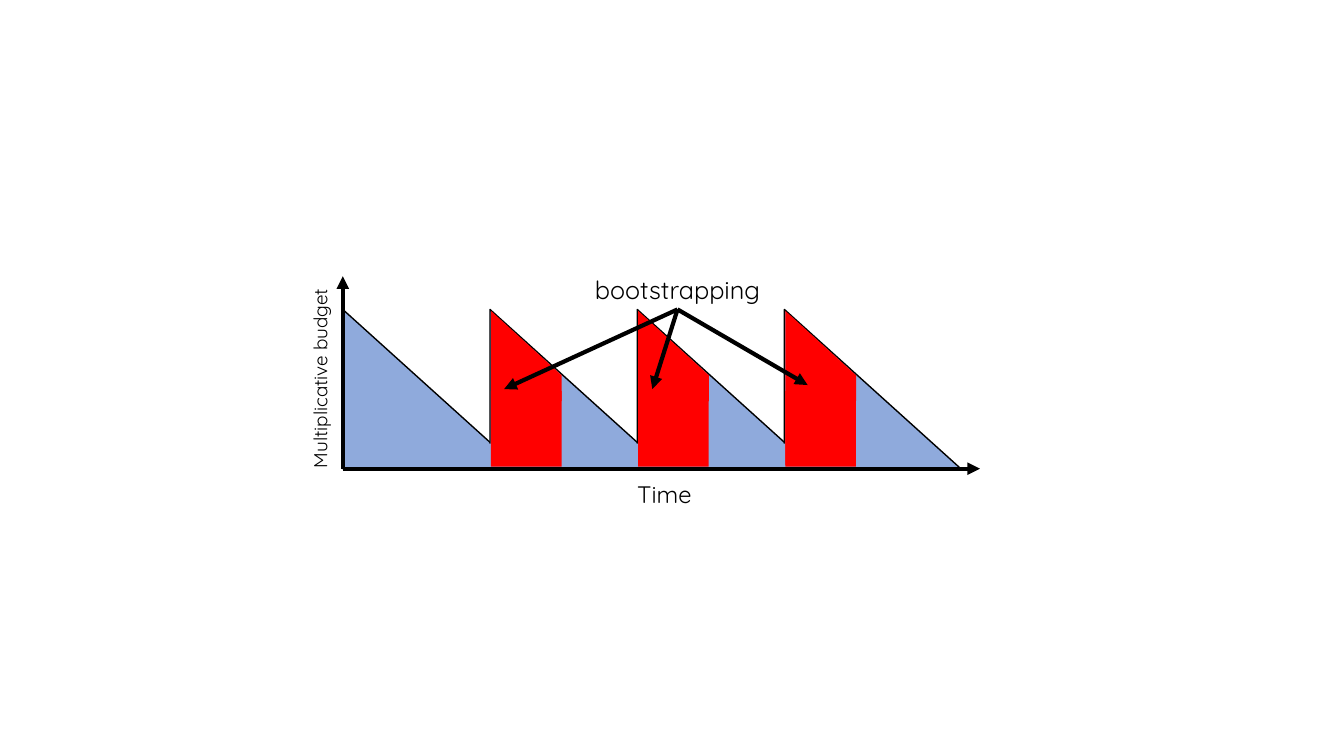
"""Draw the sawtooth chart of multiplicative budget over time, with its bootstrapping phases."""
from dataclasses import dataclass

from lxml.etree import SubElement
from pptx import Presentation
from pptx.dml.color import RGBColor
from pptx.enum.shapes import MSO_CONNECTOR, MSO_SHAPE as Preset
from pptx.enum.text import MSO_AUTO_SIZE as Fit, PP_ALIGN as Align
from pptx.oxml.ns import qn
from pptx.util import Inches, Pt

TIME_LABEL = "Time"
BUDGET_LABEL = "Multiplicative budget"
PHASE_LABEL = "bootstrapping"
TEETH = 4
PHASE_TARGETS = [(6.47, 3.86), (5, 3.86), (8.01, 3.82)]


@dataclass(frozen=True)
class Theme:
    font: str = "Quicksand"
    ink: str = "000000"
    budget: str = "8FAADC"
    phase: str = "FF0000"
    outline: float = 1
    stroke: float = 3
    time_size: float = 17
    budget_size: float = 13.5
    phase_size: float = 18


THEME = Theme()
SLIDE_W, SLIDE_H = 13.33, 7.5
ORIGIN_X, ORIGIN_Y = 3.4, 4.65
PITCH = 1.46
TOOTH_W, TOOTH_H = 1.75, 1.58
TOP = ORIGIN_Y - TOOTH_H
AXIS_END_X, AXIS_END_Y = 9.72, 2.74
BASE_X, BASE_W, BASE_H = 4.12, 5.03, 0.25
PHASE_W, PHASE_H, PHASE_SLOPE = 0.7, 1.53, 0.912
PHASE_BLOCK_H = 0.75
PHASE_MIDDLE = 3.85
PHASE_FLOOR = 4.63


def add_block(shapes, preset, x, y, w, h, fill, outline=None):
    block = shapes.add_shape(preset, *map(Inches, (x, y, w, h)))
    block.shadow.inherit = False
    block.fill.solid()
    block.fill.fore_color.rgb = RGBColor.from_string(fill)
    if outline:
        block.line.color.rgb = RGBColor.from_string(THEME.ink)
        block.line.width = Pt(outline)
    else:
        block.line.fill.background()
    return block


def add_text(shapes, text, *, x, y, w, h, size, rotation=0):
    label = shapes.add_textbox(*map(Inches, (x, y, w, h)))
    label.rotation = rotation
    frame = label.text_frame
    frame.word_wrap = True
    frame.auto_size = Fit.SHAPE_TO_FIT_TEXT
    paragraph = frame.paragraphs[0]
    paragraph.alignment = Align.CENTER
    run = paragraph.add_run()
    run.text = text
    run.font.name = THEME.font
    run.font.size = Pt(size)
    run.font.color.rgb = RGBColor.from_string(THEME.ink)
    return label


def add_arrow(shapes, start, end):
    arrow = shapes.add_connector(MSO_CONNECTOR.STRAIGHT, *map(Inches, (*start, *end)))
    arrow.line.color.rgb = RGBColor.from_string(THEME.ink)
    arrow.line.width = Pt(THEME.stroke)
    SubElement(arrow.line._get_or_add_ln(), qn("a:tailEnd"), type="triangle")
    SubElement(arrow._element.spPr, qn("a:effectLst"))
    return arrow


def add_phase(shapes, x):
    phase = shapes.add_group_shape().shapes
    slope = add_block(phase, Preset.TRAPEZOID, x + (PHASE_W - PHASE_H) / 2,
                      PHASE_MIDDLE - PHASE_W / 2, PHASE_H, PHASE_W, THEME.phase)
    slope.rotation = 90
    slope.adjustments[0] = PHASE_SLOPE
    add_block(phase, Preset.RECTANGLE, x, PHASE_FLOOR - PHASE_BLOCK_H,
              PHASE_W, PHASE_BLOCK_H, THEME.phase)


def main():
    deck = Presentation()
    deck.slide_width, deck.slide_height = Inches(SLIDE_W), Inches(SLIDE_H)
    shapes = deck.slides.add_slide(deck.slide_layouts[6]).shapes

    tooth_lefts = [ORIGIN_X + PITCH * i for i in range(TEETH)]
    for left in tooth_lefts:
        add_block(shapes, Preset.RIGHT_TRIANGLE, left, TOP, TOOTH_W, TOOTH_H,
                  THEME.budget, THEME.outline)
    add_block(shapes, Preset.RECTANGLE, BASE_X, ORIGIN_Y - BASE_H, BASE_W, BASE_H, THEME.budget)

    add_text(shapes, TIME_LABEL, x=5.13, y=4.71, w=2.92, h=0.39, size=THEME.time_size)
    add_text(shapes, BUDGET_LABEL, x=2.16, y=3.59, w=2.03, h=0.33,
             size=THEME.budget_size, rotation=270)
    phase_label = add_text(shapes, PHASE_LABEL, x=5.26, y=TOP - 0.4, w=2.92, h=0.4,
                           size=THEME.phase_size)

    for axis_end in [(AXIS_END_X, ORIGIN_Y), (ORIGIN_X, AXIS_END_Y)]:
        add_arrow(shapes, (ORIGIN_X, ORIGIN_Y), axis_end)
    for left in tooth_lefts[1:]:
        add_phase(shapes, left + 0.01)
    for target in PHASE_TARGETS:
        add_arrow(shapes, (6.72, TOP), target).begin_connect(phase_label, 2)

    deck.save("out.pptx")


if __name__ == "__main__":
    main()
